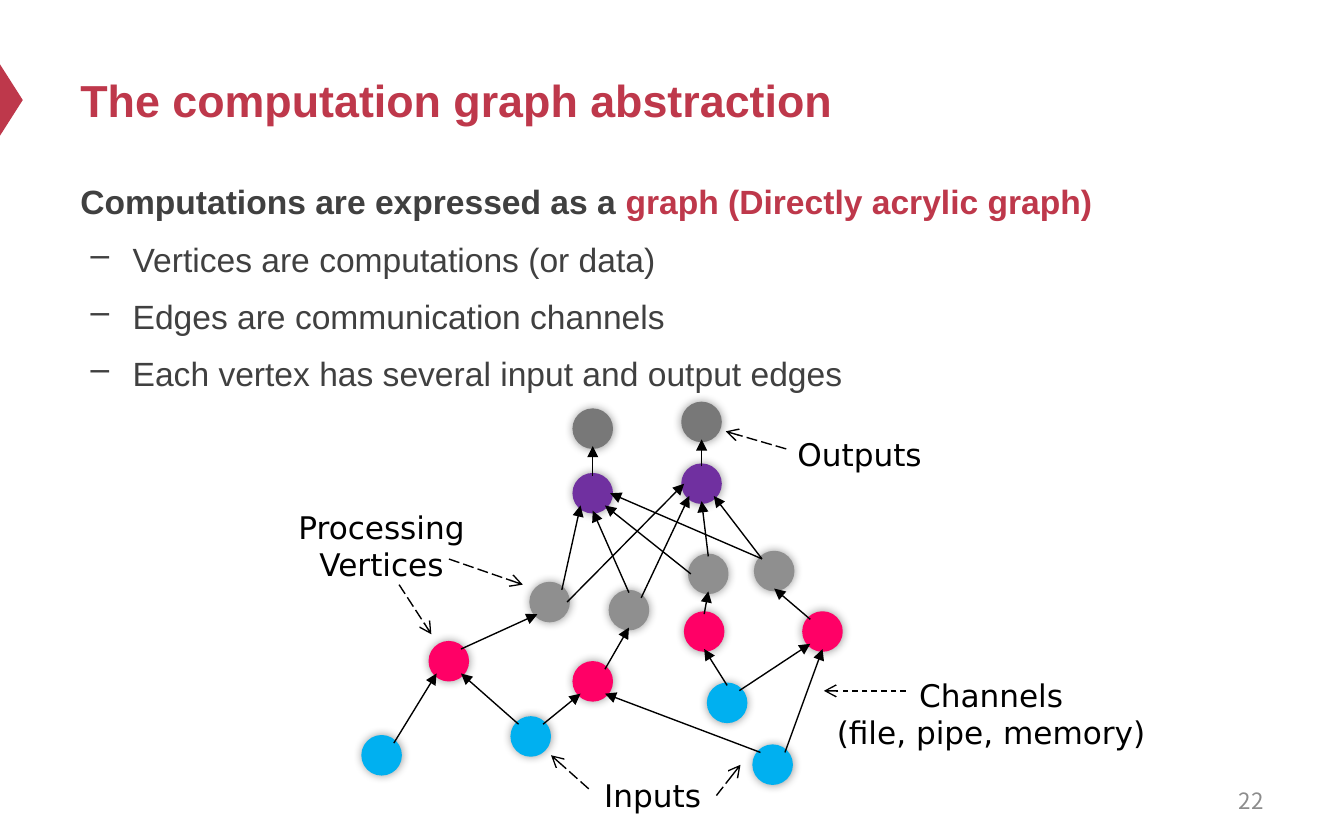
from typing import NamedTuple

from lxml.etree import SubElement
from pptx import Presentation
from pptx.dml.color import RGBColor
from pptx.enum.dml import MSO_LINE as Dash
from pptx.enum.shapes import MSO_CONNECTOR as Link, MSO_SHAPE as Form
from pptx.enum.text import MSO_ANCHOR as Anchor, PP_ALIGN as Align
from pptx.oxml.ns import qn
from pptx.util import Pt

RED = RGBColor(0xBE, 0x38, 0x4B)
DARK = RGBColor(0x40, 0x40, 0x40)
PALE = RGBColor(0x8C, 0x8C, 0x8C)
BLACK = RGBColor(0, 0, 0)
BLUE = RGBColor(0x00, 0xB0, 0xF0)
PINK = RGBColor(0xFF, 0x00, 0x66)
GREY = RGBColor(0x8F, 0x8F, 0x8F)
PURPLE = RGBColor(0x70, 0x30, 0xA0)
STONE = RGBColor(0x78, 0x78, 0x78)

SIZE = 18.7
SIDES = {
    "N": (0.5, 0), "NE": (0.85, 0.15), "E": (1, 0.5), "SE": (0.85, 0.85),
    "S": (0.5, 1), "SW": (0.15, 0.85), "W": (0, 0.5), "NW": (0.15, 0.15),
}


class Node(NamedTuple):
    left: float
    top: float
    color: RGBColor

    def point(self, side: str) -> tuple[float, float]:
        across, down = SIDES[side]
        return self.left + across * SIZE, self.top + down * SIZE


class Edge(NamedTuple):
    start: str
    leave: str
    end: str
    enter: str


class Hint(NamedTuple):
    start: tuple[float, float]
    end: tuple[float, float]
    dash: Dash = Dash.LONG_DASH


class Label(NamedTuple):
    box: tuple[float, float, float, float]
    lines: tuple[str, ...]


class Style(NamedTuple):
    font: str
    size: float
    color: RGBColor
    bold: bool = False


TITLE = Style("Arial", 24, RED, True)
LEAD = Style("Arial", 18, DARK, True)
KEY = Style("Arial", 18, RED, True)
ITEM = Style("Arial", 18, DARK)
NOTE = Style("DejaVu Sans", 16.7, BLACK)
PAGE = Style("Noto Sans CJK SC", 12, PALE)

NODES = {
    "in1": Node(195.1, 395.3, BLUE),
    "in2": Node(275, 385.2, BLUE),
    "in3": Node(380.2, 367.2, BLUE),
    "in4": Node(404.6, 400.3, BLUE),
    "read1": Node(231.1, 344.9, PINK),
    "read2": Node(308.2, 355.7, PINK),
    "read3": Node(367.9, 329, PINK),
    "read4": Node(431.3, 329, PINK),
    "map1": Node(285.1, 313.2, GREY),
    "map2": Node(327.6, 317.5, GREY),
    "map3": Node(370.1, 298.1, GREY),
    "map4": Node(405.4, 296.6, GREY),
    "join1": Node(308.2, 254.9, PURPLE),
    "join2": Node(366.5, 249.8, PURPLE),
    "out1": Node(308.2, 220.3, STONE),
    "out2": Node(366.5, 216.7, STONE),
}

EDGES = [
    Edge("in1", "NE", "read1", "SW"),
    Edge("in2", "NW", "read1", "SE"),
    Edge("in2", "NE", "read2", "SW"),
    Edge("in4", "NW", "read2", "SE"),
    Edge("in3", "N", "read3", "S"),
    Edge("in3", "NE", "read4", "SW"),
    Edge("in4", "NE", "read4", "S"),
    Edge("read1", "NE", "map1", "SW"),
    Edge("read2", "NE", "map2", "S"),
    Edge("read3", "N", "map3", "S"),
    Edge("read4", "NW", "map4", "S"),
    Edge("map1", "NE", "join1", "SW"),
    Edge("map1", "E", "join2", "W"),
    Edge("map2", "N", "join1", "S"),
    Edge("map2", "NE", "join2", "SW"),
    Edge("map3", "W", "join1", "SE"),
    Edge("map3", "N", "join2", "S"),
    Edge("map4", "NW", "join1", "E"),
    Edge("map4", "NW", "join2", "SE"),
    Edge("join1", "N", "out1", "S"),
    Edge("join2", "N", "out2", "S"),
]

HINTS = [
    Hint((240.5, 299.5), (280.1, 313.2)),
    Hint((213.8, 313.2), (231.1, 339.8)),
    Hint((383.8, 426.2), (396.7, 409.7)),
    Hint((315.4, 422.6), (295.2, 404.6)),
    Hint((421.2, 240.5), (388.8, 231.1)),
    Hint((485.3, 370.1), (441.4, 370.1), Dash.DASH),
]

LABELS = [
    Label((315.4, 412.6, 68.4, 27.4), ("Inputs",)),
    Label((419.8, 229.7, 81.4, 27.4), ("Outputs",)),
    Label((438.5, 358.6, 185, 47.5), ("Channels", "(file, pipe, memory)")),
    Label((152.6, 268.6, 103.7, 47.5), ("Processing", "Vertices")),
]

ITEMS = [
    "Vertices are computations (or data)",
    "Edges are communication channels",
    "Each vertex has several input and output edges",
]


def add_box(slide, box: tuple, anchor=Anchor.TOP, wrap: bool = True):
    frame = slide.shapes.add_textbox(*map(Pt, box)).text_frame
    frame.word_wrap = wrap
    frame.vertical_anchor = anchor
    return frame


def add_run(para, text: str, style: Style) -> None:
    run = para.add_run()
    run.text = text
    font = run.font
    font.name, font.size, font.bold = style.font, Pt(style.size), style.bold
    font.color.rgb = style.color


def add_item(frame, text: str) -> None:
    para = frame.add_paragraph()
    props = para._p.get_or_add_pPr()
    props.set("marL", str(Pt(28)))
    props.set("indent", str(Pt(-22.5)))
    SubElement(props, qn("a:buChar"), char="–")
    para.line_spacing = 1.2
    para.space_before = Pt(4.7)
    add_run(para, text, ITEM)


def add_node(slide, node: Node) -> None:
    dot = slide.shapes.add_shape(
        Form.FLOWCHART_CONNECTOR, Pt(node.left), Pt(node.top), Pt(SIZE), Pt(SIZE))
    dot.fill.solid()
    dot.fill.fore_color.rgb = dot.line.color.rgb = node.color
    dot.line.width = Pt(3)
    dot.shadow.inherit = False
    glow = SubElement(dot._element.spPr.find(qn("a:effectLst")),
                      qn("a:outerShdw"), blurRad=str(Pt(5)), dist="0", dir="0")
    tint = SubElement(glow, qn("a:srgbClr"), val=str(BLACK))
    SubElement(tint, qn("a:alpha"), val="40000")


def add_arrow(slide, start: tuple, end: tuple, head: str, dash=None) -> None:
    line = slide.shapes.add_connector(Link.STRAIGHT, *map(Pt, start + end))
    line.line.color.rgb = BLACK
    line.line.width = Pt(0.75)
    if dash:
        line.line.dash_style = dash
    props = line._element.spPr
    SubElement(props.find(qn("a:ln")), qn("a:tailEnd"), type=head)
    SubElement(props, qn("a:effectLst"))


def add_label(slide, label: Label) -> None:
    para = add_box(slide, label.box, wrap=False).paragraphs[0]
    para.alignment = Align.CENTER
    for place, text in enumerate(label.lines):
        if place:
            para.add_line_break()
        add_run(para, text, NOTE)


def main() -> None:
    deck = Presentation()
    deck.slide_width, deck.slide_height = Pt(720), Pt(450)
    slide = deck.slides.add_slide(deck.slide_layouts[6])

    mark = slide.shapes.add_shape(
        Form.ISOSCELES_TRIANGLE, Pt(-13), Pt(47.5), Pt(38.2), Pt(12.2))
    mark.rotation = 90
    mark.shadow.inherit = False
    mark.fill.solid()
    mark.fill.fore_color.rgb = RED
    mark.line.fill.background()

    title = add_box(slide, (36, 18, 648, 70.6), Anchor.MIDDLE)
    add_run(title.paragraphs[0], "The computation graph abstraction", TITLE)

    body = add_box(slide, (36, 89.3, 648, 296.6))
    lead = body.paragraphs[0]
    lead.line_spacing = 1.2
    add_run(lead, "Computations are expressed as a ", LEAD)
    add_run(lead, "graph (Directly acrylic graph)", KEY)
    for text in ITEMS:
        add_item(body, text)

    page = add_box(slide, (516.2, 416.9, 167.8, 23.8), Anchor.MIDDLE).paragraphs[0]
    page.alignment = Align.RIGHT
    add_run(page, "22", PAGE)

    for node in NODES.values():
        add_node(slide, node)
    for edge in EDGES:
        add_arrow(slide, NODES[edge.start].point(edge.leave),
                  NODES[edge.end].point(edge.enter), "triangle")
    for label in LABELS:
        add_label(slide, label)
    for hint in HINTS:
        add_arrow(slide, hint.start, hint.end, "arrow", hint.dash)

    deck.save("out.pptx")


if __name__ == "__main__":
    main()
